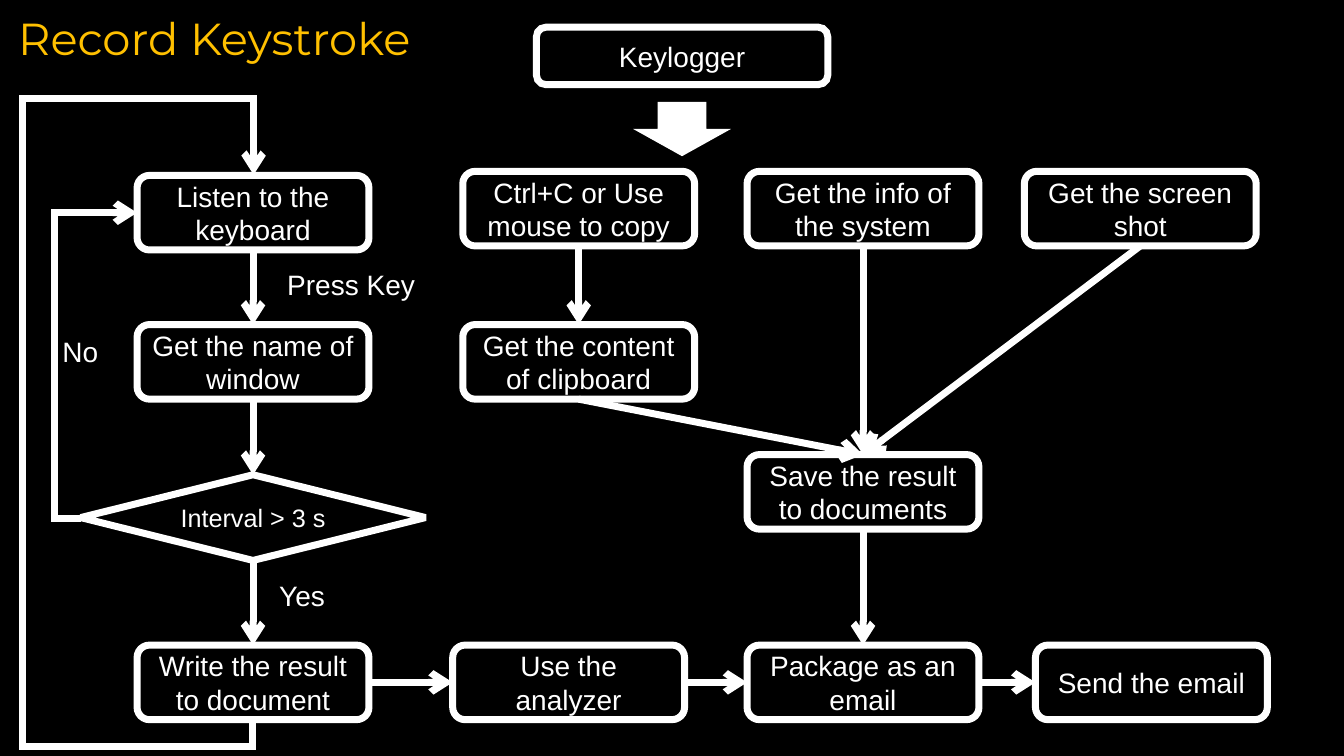
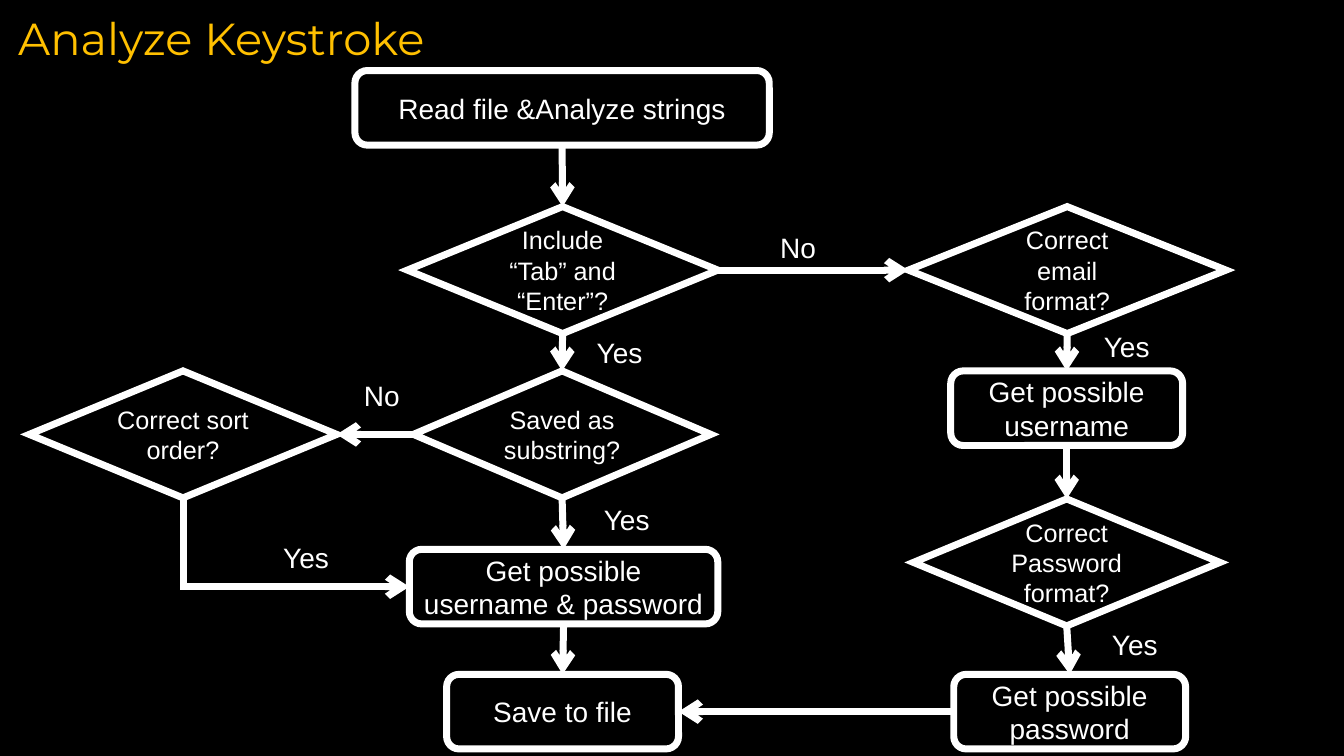
from dataclasses import dataclass
from enum import IntEnum

from lxml.etree import SubElement
from pptx import Presentation
from pptx.dml.color import RGBColor
from pptx.enum.shapes import MSO_CONNECTOR, MSO_SHAPE
from pptx.enum.text import MSO_ANCHOR, MSO_AUTO_SIZE, PP_ALIGN
from pptx.oxml.ns import qn
from pptx.util import Inches, Pt

BLACK = RGBColor(0x00, 0x00, 0x00)
WHITE = RGBColor(0xFF, 0xFF, 0xFF)
GOLD = RGBColor(0xFF, 0xC0, 0x00)
TITLE_FONT = "Montserrat"
BODY_FONT = "Arial"
LINE_WIDTH = Pt(5)


class Side(IntEnum):
    """Connection sites shared by rounded boxes and decisions."""
    TOP = 0
    LEFT = 1
    BOTTOM = 2
    RIGHT = 3


@dataclass(frozen=True)
class Step:
    text: str
    left: float
    top: float
    width: float = 2.3
    height: float = 0.74
    preset: MSO_SHAPE = MSO_SHAPE.ROUNDED_RECTANGLE
    size: int = 20


@dataclass(frozen=True)
class Elbow:
    """Geometry of a bent connector, before its rotation and flips."""
    preset: str
    left: float
    top: float
    width: float
    height: float
    rotation: int
    flips: str
    adjustments: tuple[float, ...] = ()


@dataclass(frozen=True)
class Link:
    start: str
    end: str
    leaves: Side = Side.BOTTOM
    enters: Side = Side.TOP
    elbow: Elbow | None = None


@dataclass(frozen=True)
class Label:
    text: str
    left: float
    top: float
    width: float = 0.91


@dataclass(frozen=True)
class Flowchart:
    title: str
    steps: dict[str, Step]
    links: list[Link]
    labels: list[Label]


def decision(text: str, left: float, top: float, width: float, height: float = 1.26) -> Step:
    return Step(text, left, top, width, height, MSO_SHAPE.FLOWCHART_DECISION, 18)


def rightward(start: str, end: str) -> Link:
    return Link(start, end, Side.RIGHT, Side.LEFT)


def leftward(start: str, end: str) -> Link:
    return Link(start, end, Side.LEFT, Side.RIGHT)


# Shared columns and rows of the recording chart
KEYS, CLIPBOARD, RESULT = 1.36, 4.59, 7.41
SOURCE_ROW, SECOND_ROW, LAST_ROW = 1.7, 3.22, 6.4

RECORD = Flowchart(
    title="Record Keystroke",
    steps={
        "keylogger": Step("Keylogger", 5.32, 0.27, 2.89, 0.57),
        "screen": Step("Get the screen shot", 10.16, SOURCE_ROW),
        "system": Step("Get the info of the system", RESULT, SOURCE_ROW),
        "copy": Step("Ctrl+C or Use mouse to copy", CLIPBOARD, SOURCE_ROW),
        "clipboard": Step("Get the content of clipboard", CLIPBOARD, SECOND_ROW),
        "save": Step("Save the result to documents", RESULT, 4.51),
        "package": Step("Package as an email", RESULT, LAST_ROW),
        "send": Step("Send the email", 10.27, LAST_ROW),
        "analyzer": Step("Use the analyzer", 4.49, LAST_ROW),
        "listen": Step("Listen to the keyboard", KEYS, 1.74),
        "window": Step("Get the name of window", KEYS, SECOND_ROW),
        "write": Step("Write the result to document", KEYS, LAST_ROW),
        "interval": decision("Interval > 3 s", 0.8, 4.71, 3.42, 0.85),
    },
    links=[
        Link("listen", "window"),
        Link("window", "interval"),
        Link("interval", "write"),
        Link("copy", "clipboard"),
        Link("system", "save"),
        Link("screen", "save"),
        Link("clipboard", "save"),
        Link("save", "package"),
        rightward("write", "analyzer"),
        rightward("analyzer", "package"),
        rightward("package", "send"),
        Link("write", "listen", elbow=Elbow(
            "bentConnector5", -0.19, 4.43, 5.4, 0.01, 90, "HV", (-0.05, -232, 1.14))),
        Link("interval", "listen", Side.LEFT, Side.LEFT, Elbow(
            "bentConnector3", 0.8, 2.11, 0.56, 3.03, 180, "H", (-0.46,))),
    ],
    labels=[
        Label("No", 0.52, 3.27, 0.61),
        Label("Press Key", 2.75, 2.6, 1.6),
        Label("Yes", 2.67, 5.69),
    ],
)

ANALYZE = Flowchart(
    title="Analyze Keystroke",
    steps={
        "order": decision("Correct sort order?", 0.29, 3.68, 3.05),
        "substring": decision("Saved as substring?", 4.1, 3.68, 2.95),
        "keys": decision("Include “Tab” and “Enter”?", 4.04, 2.05, 3.08),
        "email": decision("Correct email format?", 9.01, 2.05, 3.15),
        "format": decision("Correct Password format?", 9.06, 4.95, 3.04),
        "read": Step("Read file &Analyze strings", 3.52, 0.7, 4.11),
        "username": Step("Get possible username", 9.43, 3.68),
        "password": Step("Get possible password", 9.46, 6.69),
        "both": Step("Get possible username & password", 4.06, 5.45, 3.06),
        "save": Step("Save to file", 4.43, 6.69),
    },
    links=[
        Link("read", "keys"),
        rightward("keys", "email"),
        Link("keys", "substring"),
        Link("substring", "both"),
        Link("both", "save"),
        Link("email", "username"),
        Link("username", "format"),
        Link("format", "password"),
        leftward("substring", "order"),
        Link("order", "both", Side.BOTTOM, Side.LEFT, Elbow(
            "bentConnector2", 2.5, 4.26, 0.88, 2.24, 90, "V")),
        leftward("password", "save"),
    ],
    labels=[
        Label("Yes", 10.85, 3.22),
        Label("Yes", 10.93, 6.18),
        Label("Yes", 5.89, 4.94),
        Label("Yes", 2.71, 5.31),
        Label("No", 3.51, 3.71),
        Label("Yes", 5.82, 3.28),
        Label("No", 7.64, 2.24),
    ],
)


def place(shape, left: float, top: float, width: float, height: float) -> None:
    shape.left, shape.top = Inches(left), Inches(top)
    shape.width, shape.height = Inches(width), Inches(height)


def write(frame, text: str, font_name: str, size: int, color: RGBColor, align: PP_ALIGN) -> None:
    frame.word_wrap = True
    para = frame.paragraphs[0]
    para.text = text
    para.alignment = align
    para.font.name = font_name
    para.font.size = Pt(size)
    para.font.color.rgb = color


def outline(line):
    """Give a line the thick white stroke with sharp corners and return its XML."""
    line.color.rgb = WHITE
    line.width = LINE_WIDTH
    stroke = line.fill._xPr
    SubElement(stroke, qn("a:miter"), lim="800000")
    return stroke


def add_step(slide, step: Step):
    box = slide.shapes.add_shape(
        step.preset, Inches(step.left), Inches(step.top), Inches(step.width), Inches(step.height))
    box.shadow.inherit = False
    box.fill.background()
    outline(box.line)
    box.text_frame.vertical_anchor = MSO_ANCHOR.MIDDLE
    write(box.text_frame, step.text, BODY_FONT, step.size, WHITE, PP_ALIGN.CENTER)
    return box


def bend(connector, elbow: Elbow) -> None:
    place(connector, elbow.left, elbow.top, elbow.width, elbow.height)
    properties = connector.element.spPr
    transform = properties.find(qn("a:xfrm"))
    transform.set("rot", str(elbow.rotation * 60000))
    for axis in "HV":
        transform.set(f"flip{axis}", str(int(axis in elbow.flips)))
    geometry = properties.find(qn("a:prstGeom"))
    geometry.set("prst", elbow.preset)
    guides = geometry.find(qn("a:avLst"))
    for number, ratio in enumerate(elbow.adjustments, start=1):
        SubElement(guides, qn("a:gd"), name=f"adj{number}", fmla=f"val {round(ratio * 100000)}")


def add_link(slide, link: Link, boxes: dict) -> None:
    kind = MSO_CONNECTOR.ELBOW if link.elbow else MSO_CONNECTOR.STRAIGHT
    connector = slide.shapes.add_connector(kind, 0, 0, 0, 0)
    connector.begin_connect(boxes[link.start], link.leaves)
    connector.end_connect(boxes[link.end], link.enters)
    if link.elbow:
        bend(connector, link.elbow)
    SubElement(outline(connector.line), qn("a:tailEnd"), type="arrow")
    SubElement(connector.element.spPr, qn("a:effectLst"))


def add_label(slide, label: Label) -> None:
    box = slide.shapes.add_textbox(
        Inches(label.left), Inches(label.top), Inches(label.width), Inches(0.44))
    write(box.text_frame, label.text, BODY_FONT, 20, WHITE, PP_ALIGN.LEFT)
    box.text_frame.auto_size = MSO_AUTO_SIZE.SHAPE_TO_FIT_TEXT


def add_down_arrow(slide) -> None:
    arrow = slide.shapes.add_shape(
        MSO_SHAPE.DOWN_ARROW, Inches(6.28), Inches(1.01), Inches(0.97), Inches(0.54))
    arrow.shadow.inherit = False
    arrow.fill.solid()
    arrow.fill.fore_color.rgb = WHITE
    arrow.line.fill.background()


def add_flowchart(deck, layout, chart: Flowchart):
    slide = deck.slides.add_slide(layout)
    title = slide.shapes.title
    write(title.text_frame, chart.title, TITLE_FONT, 32, GOLD, PP_ALIGN.LEFT)
    title.text_frame.vertical_anchor = MSO_ANCHOR.TOP
    title.text_frame.auto_size = MSO_AUTO_SIZE.NONE
    boxes = {name: add_step(slide, step) for name, step in chart.steps.items()}
    for link in chart.links:
        add_link(slide, link, boxes)
    for label in chart.labels:
        add_label(slide, label)
    return slide


def main() -> None:
    deck = Presentation()
    deck.slide_width, deck.slide_height = Inches(13.33), Inches(7.5)
    background = deck.slide_master.background.fill
    background.solid()
    background.fore_color.rgb = BLACK
    layout = deck.slide_layouts.get_by_name("Title Only")
    place(layout.placeholders[0], 0.08, 0.06, 8.32, 0.64)

    add_down_arrow(add_flowchart(deck, layout, RECORD))
    add_flowchart(deck, layout, ANALYZE)
    deck.save("out.pptx")


if __name__ == "__main__":
    main()
